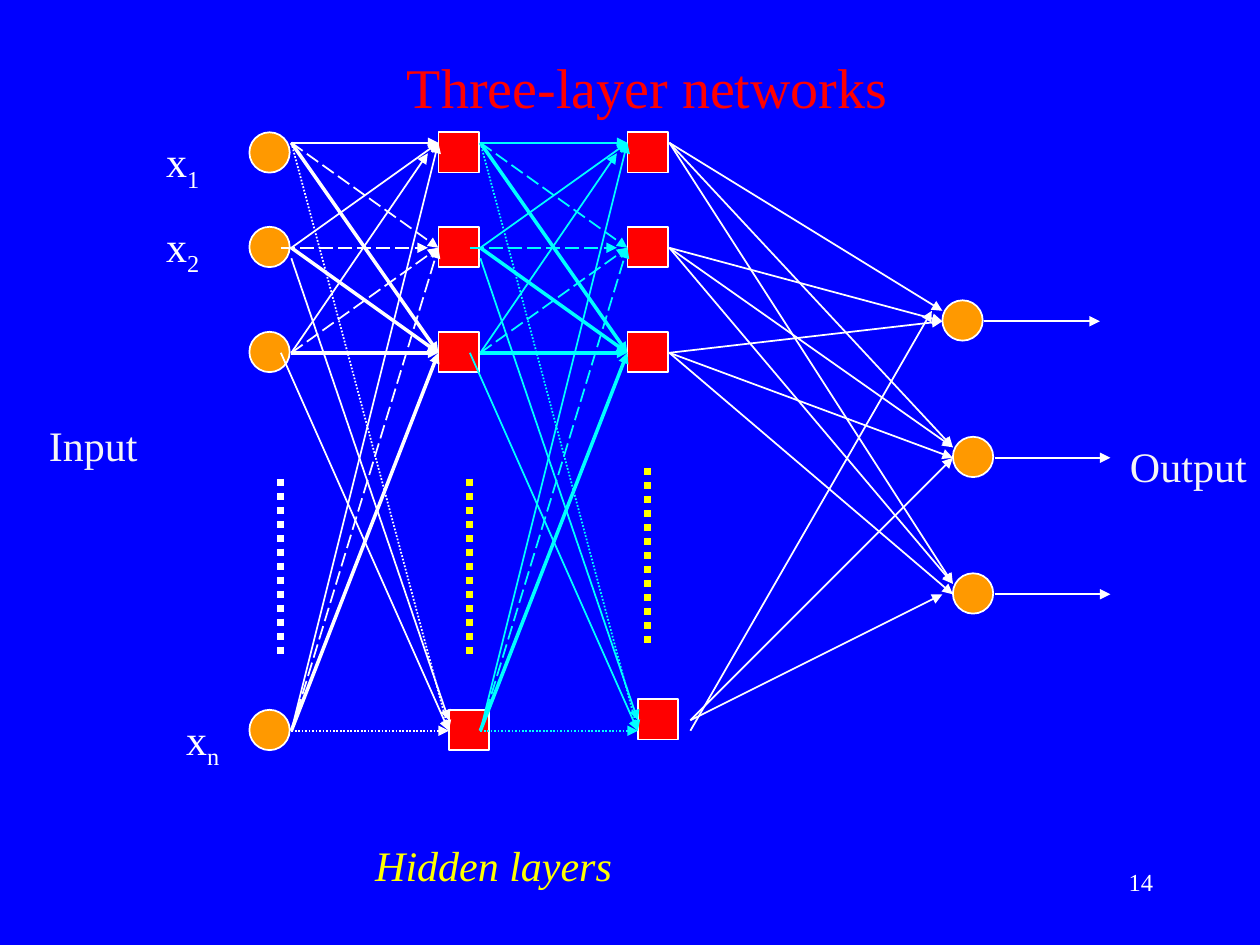
from dataclasses import dataclass
from itertools import product

from lxml import etree
from pptx import Presentation, util as u
from pptx.dml.color import RGBColor
from pptx.enum import dml, shapes, text
from pptx.oxml.ns import qn

# Grid of twelve cells to the inch
CELL = 1 / 12
COLUMN_SHIFT, ROW_SHIFT = -0.25, 0.6
NODE_SIZE = 0.32
LAYER_STEP = 18  # columns from one layer to the next
FONT = "Times New Roman"
WHITE, PALE, CYAN = "FFFFFF", "F5F5F5", "00FFFF"
YELLOW, ORANGE, RED, BLUE = "FFFF00", "FF9900", "FF0000", "0000FF"
DASH = dml.MSO_LINE.LONG_DASH
DOT = dml.MSO_LINE.ROUND_DOT
CIRCLE = shapes.MSO_SHAPE.OVAL
SQUARE = shapes.MSO_SHAPE.RECTANGLE


@dataclass
class Link:
    start: tuple  # (column, row)
    end: tuple
    width: float = 1
    dash: object = None
    arrow: bool = True


@dataclass
class Label:
    words: str
    left: float
    top: float
    width: float
    height: float = 0.5
    color: str = WHITE
    size: int = 24
    subscript: str = ""
    italic: bool = False
    wrap: bool = False
    align: object = text.PP_ALIGN.LEFT


NODES = (
    [(CIRCLE, ORANGE, 24, row) for row in (12, 21, 31, 67)]
    + [(SQUARE, RED, column, row) for column, row in product((42, 60), (12, 21, 31))]
    + [(SQUARE, RED, 43, 67), (SQUARE, RED, 61, 66)]
    + [(CIRCLE, ORANGE, column, row) for column, row in ((90, 28), (91, 41), (91, 54))]
)

# Links from one layer to the next, grouped by the node they reach
LAYER_LINKS = [
    Link((28, 13), (42, 13)),
    Link((28, 23), (42, 13)),
    Link((28, 33), (41, 14)),
    Link((28, 69), (42, 13)),
    Link((28, 13), (42, 23), dash=DASH),
    Link((27, 23), (41, 23), dash=DASH),
    Link((28, 33), (42, 23), dash=DASH),
    Link((28, 69), (42, 23), dash=DASH),
    *[Link((28, row), (42, 33), width=2) for row in (13, 23, 33, 69)],
    Link((28, 13), (43, 69), dash=DOT),
    Link((28, 24), (43, 68)),
    Link((27, 33), (43, 69)),
    Link((28, 69), (43, 69), dash=DOT),
]

OUTPUT_LINKS = [
    Link((64, 13), (90, 29)),
    Link((64, 23), (90, 30)),
    Link((64, 33), (90, 30)),
    Link((66, 69), (89, 29)),
    Link((64, 13), (91, 42)),
    Link((64, 23), (91, 42)),
    Link((64, 33), (91, 43)),
    Link((66, 68), (91, 43)),
    Link((64, 13), (91, 55)),
    Link((64, 23), (91, 55)),
    Link((64, 33), (91, 56)),
    Link((66, 68), (90, 56)),
    *[Link((column, row), (column + 11, row))
      for column, row in ((94, 30), (95, 43), (95, 56))],
]

# Thick dots standing for the nodes left out: column, first row, colour
ELLIPSES = [(27, 45, WHITE), (45, 45, YELLOW), (61.9, 44, YELLOW)]

TITLE = Label("Three-layer networks", 3.13, 0.37, 4.02, 0.63, RED, 32)
LABELS = [
    Label("x", 1.22, 1.03, 0.46, 0.55, subscript="1"),
    Label("x", 1.22, 1.7, 0.46, 0.55, subscript="2"),
    Label("x", 1.38, 5.61, 0.46, 0.55, subscript="n"),
    Label("Input", 0.29, 3.28, 0.92, color=PALE),
    Label("Output", 8.87, 3.45, 1.13, color=PALE),
    Label("Hidden layers", 2.88, 6.61, 2.16, color=YELLOW, italic=True),
    Label("14", 7.17, 6.83, 2.08, size=14, wrap=True, align=text.PP_ALIGN.RIGHT),
]


def paint(color_format, value: str) -> None:
    color_format.rgb = RGBColor.from_string(value)


def grid_x(column: float) -> int:
    return u.Inches((column + COLUMN_SHIFT) * CELL)


def grid_y(row: float) -> int:
    return u.Inches((row + ROW_SHIFT) * CELL)


def set_all(target, values: dict) -> None:
    for name, value in values.items():
        setattr(target, name, value)


def draw_node(page, kind, color: str, column: int, row: int) -> None:
    size = u.Inches(NODE_SIZE)
    node = page.shapes.add_shape(kind, grid_x(column), grid_y(row), size, size)
    node.shadow.inherit = False
    node.fill.solid()
    paint(node.fill.fore_color, color)
    paint(node.line.color, WHITE)
    node.line.width = u.Pt(1)


def draw_link(page, link: Link, color: str, shift: int = 0) -> None:
    (column, row), (end_column, end_row) = link.start, link.end
    line = page.shapes.add_connector(
        shapes.MSO_CONNECTOR.STRAIGHT,
        grid_x(column + shift), grid_y(row), grid_x(end_column + shift), grid_y(end_row))
    paint(line.line.color, color)
    line.line.width = u.Pt(link.width)
    if link.dash is not None:
        line.line.dash_style = link.dash
    properties = line._element.spPr
    if link.arrow:
        etree.SubElement(properties.find(qn("a:ln")), qn("a:tailEnd"), type="triangle")
    etree.SubElement(properties, qn("a:effectLst"))


def fill_label(box, label: Label) -> None:
    set_all(box, {name: u.Inches(getattr(label, name))
                  for name in ("left", "top", "width", "height")})
    frame = box.text_frame
    set_all(frame, {
        "word_wrap": label.wrap,
        "auto_size": text.MSO_AUTO_SIZE.NONE if label.wrap
        else text.MSO_AUTO_SIZE.SHAPE_TO_FIT_TEXT,
        "vertical_anchor": text.MSO_ANCHOR.TOP,
        "margin_left": u.Inches(0.1), "margin_right": u.Inches(0.1),
        "margin_top": u.Inches(0.05), "margin_bottom": u.Inches(0.05),
    })
    para = frame.paragraphs[0]
    para.alignment = label.align
    for words in filter(None, (label.words, label.subscript)):
        span = para.add_run()
        span.text = words
        set_all(span.font, {"name": FONT, "size": u.Pt(label.size), "italic": label.italic})
        paint(span.font.color, label.color)
    if label.subscript:
        span.font._element.set("baseline", "-25000")


def main() -> None:
    deck = Presentation()
    set_all(deck, {"slide_width": u.Inches(10), "slide_height": u.Inches(7.5)})
    page = deck.slides.add_slide(deck.slide_layouts.get_by_name("Title Only"))
    page.background.fill.solid()
    paint(page.background.fill.fore_color, BLUE)

    # Network
    for node in NODES:
        draw_node(page, *node)
    for column, row, color in ELLIPSES:
        draw_link(page, Link((column, row), (column, row + 17), 4, DOT, False), color)
    for layer, color in enumerate((WHITE, CYAN)):
        for link in LAYER_LINKS:
            draw_link(page, link, color, layer * LAYER_STEP)
    for link in OUTPUT_LINKS:
        draw_link(page, link, WHITE)

    # Title and labels
    fill_label(page.shapes.title, TITLE)
    for label in LABELS:
        fill_label(page.shapes.add_textbox(0, 0, 0, 0), label)

    deck.save("out.pptx")


if __name__ == "__main__":
    main()
